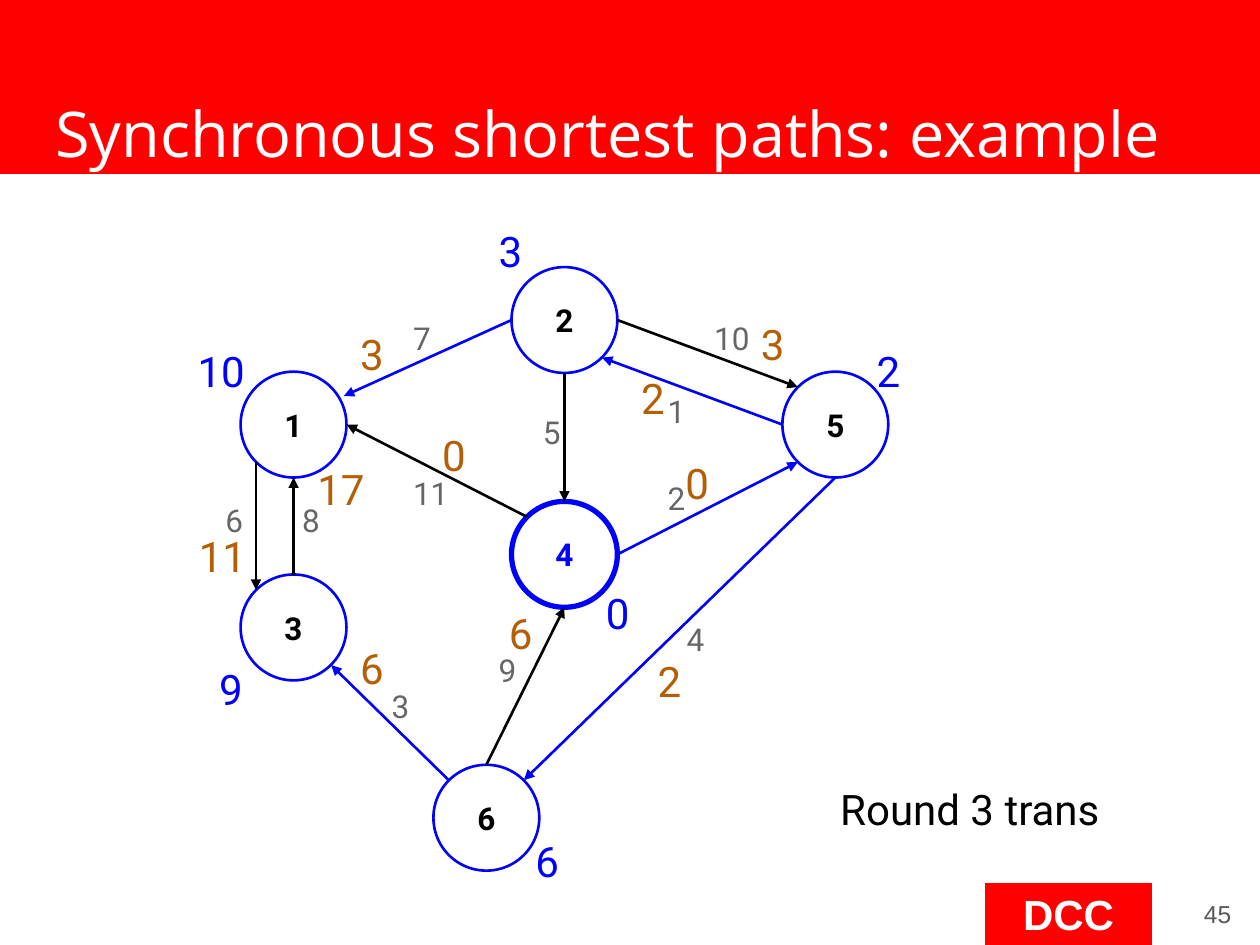
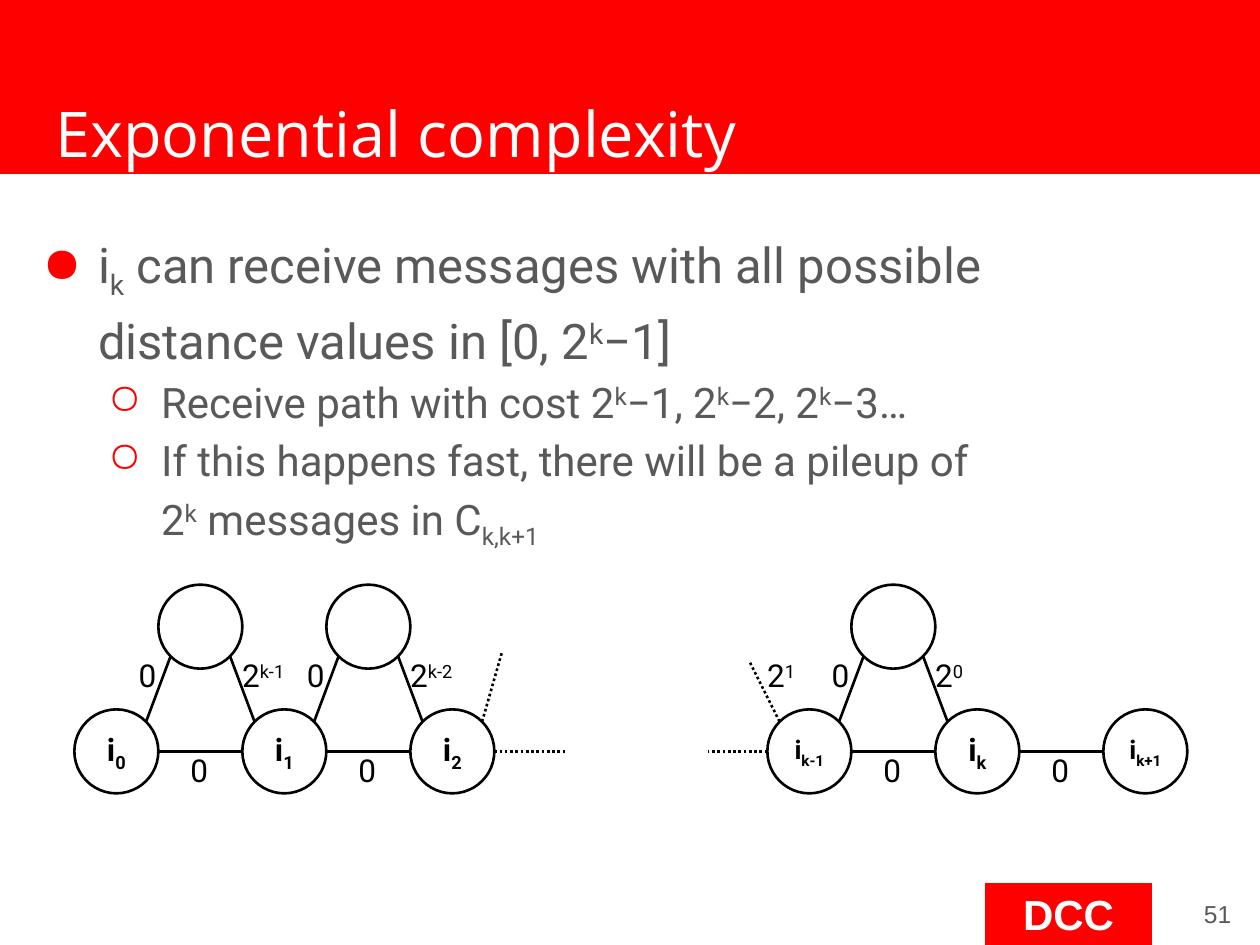
from collections import namedtuple

from lxml import etree
from pptx import Presentation
from pptx.dml.color import RGBColor
from pptx.enum.dml import MSO_LINE
from pptx.enum.shapes import MSO_CONNECTOR, MSO_SHAPE
from pptx.enum.text import MSO_ANCHOR, PP_ALIGN
from pptx.oxml.ns import qn
from pptx.util import Inches, Pt

RED = RGBColor(0xFF, 0x00, 0x00)
WHITE = RGBColor(0xFF, 0xFF, 0xFF)
BLACK = RGBColor(0x00, 0x00, 0x00)
BLUE = RGBColor(0x00, 0x00, 0xFF)
ORANGE = RGBColor(0xB4, 0x5F, 0x06)
GRAY = RGBColor(0x66, 0x66, 0x66)
DARK_GRAY = RGBColor(0x59, 0x59, 0x59)

TITLE_FONT, BODY_FONT, FOOTER_FONT = "Open Sans", "Roboto", "Arial"
SUB, SUPER = -25000, 30000

# Points on a circle where edges attach, in radii from its centre
SITES = {
    "N": (0, -1), "S": (0, 1), "E": (1, 0), "W": (-1, 0),
    "NE": (0.71, -0.71), "NW": (-0.71, -0.71),
    "SE": (0.71, 0.71), "SW": (-0.71, 0.71),
    "ENE": (0.95, -0.54),
}

Node = namedtuple("Node", "x y distance distance_at")
Edge = namedtuple("Edge", "start end in_tree weight weight_at message message_at")

GRAPH_NODES = {
    "1": Node(0.93, 1.77, "10", (0.07, 1.04)),
    "2": Node(3.08, 0.94, "3", (2.46, 0.09)),
    "3": Node(0.93, 3.38, "9", (0.24, 3.57)),
    "4": Node(3.08, 2.8, "0", (3.31, 2.96)),
    "5": Node(5.23, 1.77, "2", (5.46, 1.04)),
    "6": Node(2.46, 4.89, "6", (2.75, 4.93)),
}
GRAPH_EDGES = [
    Edge("2 W", "1 ENE", True, "7", (1.78, 0.83), "3", (1.36, 0.91)),
    Edge("2 S", "4 N", False, "5", (2.81, 1.58), None, None),
    Edge("2 E", "5 NW", False, "10", (4.17, 0.83), "3", (4.54, 0.83)),
    Edge("5 W", "2 SE", True, "1", (3.8, 1.41), "2", (3.59, 1.26)),
    Edge("4 E", "5 SW", True, "2", (3.8, 2.1), "0", (3.94, 1.93)),
    Edge("5 S", "6 NE", True, "4", (3.95, 3.22), "2", (3.72, 3.5)),
    Edge("6 N", "4 S", False, "9", (2.46, 3.47), "6", (2.54, 3.12)),
    Edge("6 NW", "3 SE", True, "3", (1.61, 3.75), "6", (1.36, 3.4)),
    Edge("3 N", "1 S", False, "8", (0.9, 2.28), "17", (1.02, 1.98)),
    Edge("1 SW", "3 NW", False, "6", (0.29, 2.28), "11", (0.08, 2.51)),
    Edge("4 NW", "1 E", False, "11", (1.78, 2.06), "0", (2.01, 1.71)),
]

BULLETS = [
    (0, ["i", ("k", SUB), " can receive messages with all possible", "\n",
         "distance values in [0, 2", ("k", SUPER), "−1]"]),
    (1, ["Receive path with cost 2", ("k", SUPER), "−1, 2", ("k", SUPER),
         "−2, 2", ("k", SUPER), "−3…"]),
    (1, ["If this happens fast, there will be a pileup of", "\n",
         "2", ("k", SUPER), " messages in C", ("k,k+1", SUB)]),
]


def write(paragraph, pieces, size, color, font=BODY_FONT, bold=False):
    """Fill a paragraph; a piece is text, a line break or (text, baseline)."""
    paragraph.font.size = Pt(size)
    paragraph.font.name = font
    paragraph.font.bold = bold
    paragraph.font.color.rgb = color
    for piece in pieces:
        if piece == "\n":
            paragraph.add_line_break()
            continue
        text, baseline = (piece, 0) if isinstance(piece, str) else piece
        run = paragraph.add_run()
        run.text = text
        if baseline:
            run._r.get_or_add_rPr().set("baseline", str(baseline))


def prepare_frame(shape, anchor=MSO_ANCHOR.TOP, wrap=True):
    frame = shape.text_frame
    frame.margin_left = frame.margin_right = Inches(0.1)
    frame.margin_top = frame.margin_bottom = Inches(0.1)
    frame.vertical_anchor = anchor
    frame.word_wrap = wrap
    return frame


def add_text(slide, box, pieces, size, color, font=BODY_FONT,
             align=PP_ALIGN.LEFT, anchor=MSO_ANCHOR.TOP):
    shape = slide.shapes.add_textbox(*map(Inches, box))
    paragraph = prepare_frame(shape, anchor).paragraphs[0]
    paragraph.alignment = align
    write(paragraph, pieces, size, color, font)


def add_band(slide, box):
    band = slide.shapes.add_shape(MSO_SHAPE.RECTANGLE, *map(Inches, box))
    band.shadow.inherit = False
    band.fill.solid()
    band.fill.fore_color.rgb = RED
    band.line.color.rgb = RED
    band.line.width = Pt(0.75)
    return band


def add_circle(slide, center, radius, pieces=(), size=18, color=BLACK,
               line_color=BLACK, line_width=1.5):
    x, y = center
    circle = slide.shapes.add_shape(
        MSO_SHAPE.OVAL, Inches(x - radius), Inches(y - radius),
        Inches(2 * radius), Inches(2 * radius))
    circle.shadow.inherit = False
    circle.fill.background()
    circle.line.color.rgb = line_color
    circle.line.width = Pt(line_width)
    if pieces:
        paragraph = prepare_frame(circle, MSO_ANCHOR.MIDDLE, False).paragraphs[0]
        paragraph.alignment = PP_ALIGN.CENTER
        write(paragraph, pieces, size, color, bold=True)


def site(center, radius, name):
    dx, dy = SITES[name]
    return center[0] + dx * radius, center[1] + dy * radius


def add_line(slide, start, end, color=BLACK, arrow=False, dotted=False):
    line = slide.shapes.add_connector(
        MSO_CONNECTOR.STRAIGHT, *map(Inches, (*start, *end)))
    line.line.color.rgb = color
    line.line.width = Pt(1.5)
    if dotted:
        line.line.dash_style = MSO_LINE.ROUND_DOT
    if arrow:
        etree.SubElement(line.line._get_or_add_ln(), qn("a:tailEnd"), type="triangle")
    etree.SubElement(line._element.spPr, qn("a:effectLst"))


def add_base_slide(presentation, title, number):
    """Add a slide with the bands, title and page number all slides share."""
    slide = presentation.slides.add_slide(presentation.slide_layouts[6])
    add_band(slide, (0, 0, 10, 1.38))
    tag = add_band(slide, (7.82, 7.01, 1.32, 0.49))
    paragraph = prepare_frame(tag, MSO_ANCHOR.MIDDLE).paragraphs[0]
    paragraph.alignment = PP_ALIGN.CENTER
    write(paragraph, ["DCC"], 24, WHITE, FOOTER_FONT, bold=True)
    add_text(slide, (0.34, 0.65, 9.32, 0.83), [title], 36, WHITE, TITLE_FONT)
    add_text(slide, (9.27, 6.97, 0.6, 0.57), [number], 14, DARK_GRAY,
             FOOTER_FONT, PP_ALIGN.RIGHT, MSO_ANCHOR.MIDDLE)
    return slide


def add_graph(slide, left, top, source):
    radius = 0.42

    def center(name):
        return left + GRAPH_NODES[name].x, top + GRAPH_NODES[name].y

    def end_point(end):
        name, side = end.split()
        return site(center(name), radius, side)

    def label(text, position, size, color):
        x, y = position
        add_text(slide, (left + x, top + y, 0.62, 0.57), [text], size, color)

    for name in GRAPH_NODES:
        is_source = name == source
        add_circle(slide, center(name), radius, [name],
                   color=BLUE if is_source else BLACK,
                   line_color=BLUE, line_width=3 if is_source else 1.5)
    for edge in GRAPH_EDGES:
        add_line(slide, end_point(edge.start), end_point(edge.end),
                 BLUE if edge.in_tree else BLACK, arrow=True)
    for edge in GRAPH_EDGES:
        label(edge.weight, edge.weight_at, 18, GRAY)
        if edge.message:
            label(edge.message, edge.message_at, 24, ORANGE)
    for node in GRAPH_NODES.values():
        label(node.distance, node.distance_at, 24, BLUE)


def add_bullets(slide, box):
    frame = prepare_frame(slide.shapes.add_textbox(*map(Inches, box)))
    styles = [("●", 28, 0.5, -0.44), ("○", 24, 1, -0.42)]
    for index, (level, pieces) in enumerate(BULLETS):
        paragraph = frame.add_paragraph() if index else frame.paragraphs[0]
        symbol, size, margin, indent = styles[level]
        paragraph.level = level
        paragraph.line_spacing = 1.15
        properties = paragraph._p.get_or_add_pPr()
        properties.set("marL", str(Inches(margin)))
        properties.set("indent", str(Inches(indent)))
        bullet_color = etree.SubElement(properties, qn("a:buClr"))
        etree.SubElement(bullet_color, qn("a:srgbClr"), val=str(RED))
        etree.SubElement(properties, qn("a:buChar"), char=symbol)
        write(paragraph, pieces, size, DARK_GRAY)


def add_chain(slide, left, top, indices, exponents):
    """Draw a row of nodes, with a triangle above each gap that has an exponent.

    Returns the centres of the nodes in the row.
    """
    radius, pitch, drop = 1 / 3, 4 / 3, 0.99
    row = [(left + radius + pitch * i, top + radius + drop)
           for i in range(len(indices))]
    for center, index in zip(row, indices):
        add_circle(slide, center, radius, ["i", (index, SUB)],
                   size=15 if len(index) > 1 else 18)
    for start, end in zip(row, row[1:]):
        add_line(slide, site(start, radius, "E"), site(end, radius, "W"))
        add_text(slide, (start[0] + 0.49, top + 1.22, 0.47, 0.53), ["0"], 18, BLACK)
    for start, end, exponent in zip(row, row[1:], exponents):
        apex = start[0] + pitch / 2, top + radius
        add_circle(slide, apex, radius)
        add_line(slide, site(start, radius, "NE"), site(apex, radius, "SW"))
        add_line(slide, site(apex, radius, "SE"), site(end, radius, "NW"))
        add_text(slide, (start[0] + 0.08, top + 0.47, 0.47, 0.53), ["0"], 18, BLACK)
        add_power(slide, start[0] + 0.9, top + 0.47, exponent)
    return row


def add_power(slide, left, top, exponent):
    add_text(slide, (left, top, 0.6, 0.53), ["2", (exponent, SUPER)], 18, BLACK)


def add_continuation(slide, center, side, length, slant):
    """Draw the dotted stubs that leave a node, level and upwards."""
    level = site(center, 1 / 3, side)
    upper = site(center, 1 / 3, "N" + side)
    direction = SITES[side][0]
    add_line(slide, level, (level[0] + direction * length, level[1]), dotted=True)
    add_line(slide, upper, (upper[0] + direction * slant[0], upper[1] - slant[1]),
             dotted=True)


def build_shortest_paths(presentation):
    slide = add_base_slide(presentation, "Synchronous shortest paths: example", "45")
    add_graph(slide, 1.4, 1.6, source="4")
    add_text(slide, (6.57, 6.12, 3.09, 0.57), ["Round 3 trans"], 24, BLACK)


def build_complexity(presentation):
    slide = add_base_slide(presentation, "Exponential complexity", "51")
    add_bullets(slide, (0.18, 1.68, 9.69, 2.49))
    top = 4.64
    first_row = add_chain(slide, 0.59, top, ["0", "1", "2"], ["k-1", "k-2"])
    last_row = add_chain(slide, 6.09, top, ["k-1", "k", "k+1"], ["0"])
    add_continuation(slide, first_row[-1], "E", 0.56, (0.16, 0.56))
    add_continuation(slide, last_row[0], "W", 0.47, (0.24, 0.48))
    add_power(slide, 5.99, top + 0.47, "1")


def main():
    presentation = Presentation()
    presentation.slide_width = Inches(10)
    presentation.slide_height = Inches(7.5)
    build_shortest_paths(presentation)
    build_complexity(presentation)
    presentation.save("out.pptx")


if __name__ == "__main__":
    main()
